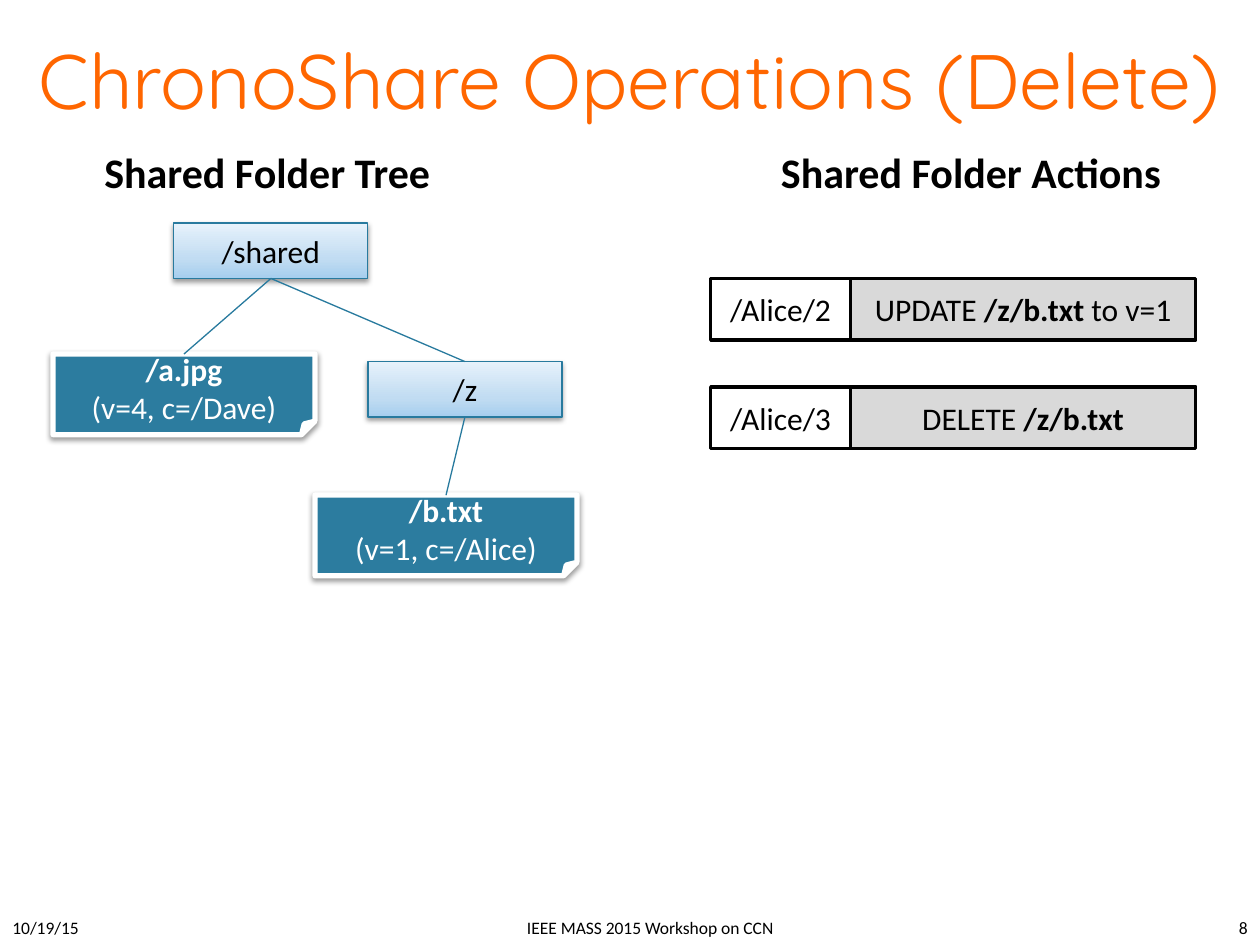
from lxml.etree import SubElement
from pptx import Presentation
from pptx.dml.color import RGBColor
from pptx.enum.shapes import MSO_CONNECTOR, MSO_SHAPE
from pptx.enum.text import MSO_ANCHOR, PP_ALIGN
from pptx.oxml import parse_xml
from pptx.oxml.ns import nsdecls, qn
from pptx.util import Inches, Pt

BLACK = RGBColor(0x00, 0x00, 0x00)
WHITE = RGBColor(0xFF, 0xFF, 0xFF)
GRAY = RGBColor(0xD9, 0xD9, 0xD9)
ORANGE = RGBColor(0xFF, 0x66, 0x00)
TEAL = RGBColor(0x2C, 0x7C, 0x9F)
EDGE = RGBColor(0x28, 0x7A, 0x9E)
FOLDER_STOPS = [
    (0, RGBColor(0xA6, 0xCE, 0xEE)),
    (35, RGBColor(0xC1, 0xDC, 0xF2)),
    (100, RGBColor(0xE7, 0xF2, 0xFB)),
]

TITLE = "ChronoShare Operations (Delete)"
HEADINGS = [
    ("Shared Folder Tree", 0.73, 2.84),
    ("Shared Folder Actions", 6.1, 3.26),
]
FOOTERS = [
    ("10/19/15", 0, 0.83, PP_ALIGN.LEFT),
    ("IEEE MASS 2015 Workshop on CCN", 0.83, 8.66, PP_ALIGN.CENTER),
    ("8", 9.48, 0.52, PP_ALIGN.RIGHT),
]
FOLDERS = {"/shared": (1.38, 1.77), "/z": (2.92, 2.87)}
FILES = {
    "/a.jpg": ("(v=4, c=/Dave)", 0.42, 2.81),
    "/b.txt": ("(v=1, c=/Alice)", 2.5, 3.93),
}
BRANCHES = [("/shared", "/a.jpg"), ("/shared", "/z"), ("/z", "/b.txt")]
ACTIONS = [
    ("/Alice/2", [("UPDATE ", False), ("/z/b.txt ", True), ("to v=1", False)]),
    ("/Alice/3", [("DELETE ", False), ("/z/b.txt", True)]),
]

FOLDER_SIZE = (1.54, 0.44)
FILE_SIZE = (2.08, 0.64)
ACTION_LEFT, ACTION_TOP, ACTION_PITCH, ACTION_HEIGHT = 5.64, 2.21, 0.86, 0.49
NAME_WIDTH, DETAIL_WIDTH = 1.11, 2.74


def write(box, lines, size, color=BLACK, font="Calibri",
          align=PP_ALIGN.CENTER, wrap=True):
    frame = box.text_frame
    frame.word_wrap = wrap
    frame.vertical_anchor = MSO_ANCHOR.MIDDLE
    for index, spans in enumerate(lines):
        para = frame.add_paragraph() if index else frame.paragraphs[0]
        para.alignment = align
        para.font.size = Pt(size)
        para.font.name = font
        para.font.color.rgb = color
        for text, bold in spans:
            span = para.add_run()
            span.text = text
            span.font.bold = bold


def add_label(page, text, place, size, bold=False, **style):
    box = page.shapes.add_textbox(*map(Inches, place))
    write(box, [[(text, bold)]], size, **style)


def add_box(page, kind, place, lines, fill, line, width, color=BLACK):
    box = page.shapes.add_shape(kind, *map(Inches, place))
    box.shadow.inherit = False
    if fill is not None:
        box.fill.solid()
        box.fill.fore_color.rgb = fill
    box.line.color.rgb = line
    box.line.width = Pt(width)
    write(box, lines, 18, color)
    return box


def add_shadow(box):
    effects = box._element.spPr.find(qn("a:effectLst"))
    shadow = SubElement(effects, qn("a:outerShdw"), blurRad=str(Pt(3.1)),
                        dist=str(Pt(1.6)), dir="5400000", rotWithShape="0")
    color = SubElement(shadow, qn("a:srgbClr"), val=str(BLACK))
    SubElement(color, qn("a:alpha"), val="38000")


def add_folder_gradient(box):
    stops = "".join(
        f'<a:gs pos="{position * 1000}"><a:srgbClr val="{color}"/></a:gs>'
        for position, color in FOLDER_STOPS)
    gradient = parse_xml(
        f'<a:gradFill {nsdecls("a")} rotWithShape="1"><a:gsLst>{stops}</a:gsLst>'
        '<a:lin ang="16200000" scaled="0"/></a:gradFill>')
    box._element.spPr.find(qn("a:prstGeom")).addnext(gradient)


def add_branch(page, parent, child):
    start = (parent.left + parent.width // 2, parent.top + parent.height)
    end = (child.left + child.width // 2, child.top)
    branch = page.shapes.add_connector(MSO_CONNECTOR.STRAIGHT, *start, *end)
    branch.line.color.rgb = EDGE
    branch.line.width = Pt(0.75)
    SubElement(branch._element.spPr, qn("a:effectLst"))


def add_tree(page):
    nodes = {}
    for name, place in FOLDERS.items():
        nodes[name] = add_box(page, MSO_SHAPE.RECTANGLE, place + FOLDER_SIZE,
                              [[(name, False)]], None, EDGE, 0.75)
        add_folder_gradient(nodes[name])
    for name, (version, left, top) in FILES.items():
        nodes[name] = add_box(page, MSO_SHAPE.FOLDED_CORNER, (left, top) + FILE_SIZE,
                              [[(name, True)], [(version, False)]],
                              TEAL, WHITE, 3, WHITE)
    for node in nodes.values():
        add_shadow(node)
    for parent, child in BRANCHES:
        add_branch(page, nodes[parent], nodes[child])


def add_actions(page):
    for row, (name, detail) in enumerate(ACTIONS):
        top = ACTION_TOP + row * ACTION_PITCH
        add_box(page, MSO_SHAPE.RECTANGLE,
                (ACTION_LEFT, top, NAME_WIDTH, ACTION_HEIGHT),
                [[(name, False)]], WHITE, BLACK, 2)
        add_box(page, MSO_SHAPE.RECTANGLE,
                (ACTION_LEFT + NAME_WIDTH, top, DETAIL_WIDTH, ACTION_HEIGHT),
                [detail], GRAY, BLACK, 2)


def main():
    deck = Presentation()
    deck.slide_width, deck.slide_height = Inches(10), Inches(7.5)
    page = deck.slides.add_slide(deck.slide_layouts[6])
    add_label(page, TITLE, (0, 0, 10, 1.25), 44, color=ORANGE, font="Quicksand")
    for text, left, width in HEADINGS:
        add_label(page, text, (left, 1.11, width, 0.5), 24, bold=True,
                  align=PP_ALIGN.LEFT, wrap=False)
    for text, left, width, align in FOOTERS:
        add_label(page, text, (left, 7.23, width, 0.27), 10, align=align)
    add_tree(page)
    add_actions(page)
    deck.save("out.pptx")


if __name__ == "__main__":
    main()
